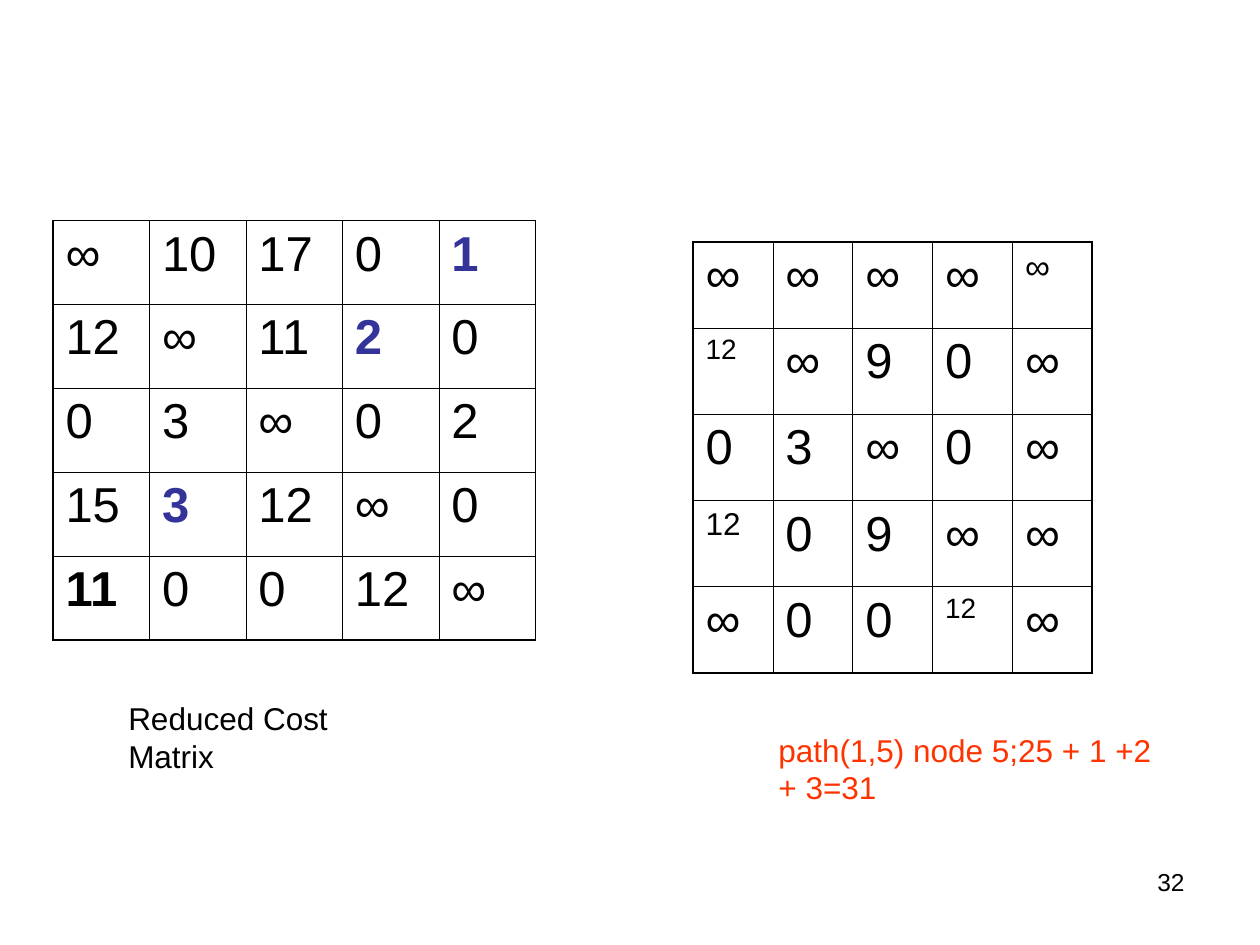
from dataclasses import dataclass

from lxml import etree
from pptx import Presentation
from pptx.dml.color import RGBColor
from pptx.enum import text
from pptx.oxml import ns
from pptx.util import Inches, Pt


@dataclass(frozen=True)
class Theme:
    """Colours, type sizes and line widths of the slide."""
    font: str = "Arial"
    ink: str = "000000"
    reduced: str = "333399"
    result: str = "FF3300"
    entry: int = 28
    caption: int = 18
    number: int = 14
    outer: float = 1.08
    inner: float = 0.45


THEME = Theme()

REDUCED_COST = (
    "∞ 10 17 0 1",
    "12 ∞ 11 2 0",
    "0 3 ∞ 0 2",
    "15 3 12 ∞ 0",
    "11 0 0 12 ∞",
)
REDUCED_STYLES = {
    (0, 4): {"color": THEME.reduced, "bold": True},
    (1, 3): {"color": THEME.reduced, "bold": True},
    (3, 1): {"color": THEME.reduced, "bold": True},
    (4, 0): {"bold": True},
}
NODE_COST = (
    "∞ ∞ ∞ ∞ ∞",
    "12 ∞ 9 0 ∞",
    "0 3 ∞ 0 ∞",
    "12 0 9 ∞ ∞",
    "∞ 0 0 12 ∞",
)
NODE_STYLES = {
    (0, 4): {"size": 20},
    (1, 0): {"size": 16},
    (3, 0): {"size": 18},
    (4, 3): {"size": 16},
}


def write(frame, words, size=THEME.entry, color=THEME.ink, bold=False):
    """Put one formatted paragraph in a text frame and return it."""
    frame.text = words
    para = frame.paragraphs[0]
    for span in para.runs:
        span.font.name = THEME.font
        span.font.size = Pt(size)
        span.font.bold = bold
        span.font.color.rgb = RGBColor.from_string(color)
    return para


def add_border(cell, side, width):
    """Draw one edge of a table cell."""
    line = etree.SubElement(cell._tc.get_or_add_tcPr(), ns.qn(f"a:ln{side}"), w=str(Pt(width)))
    fill = etree.SubElement(line, ns.qn("a:solidFill"))
    etree.SubElement(fill, ns.qn("a:srgbClr"), val=THEME.ink)


def add_matrix(page, box, rows, styles):
    """Fill the box with a square cost matrix with a heavier outer frame."""
    count = len(rows)
    last = count - 1
    left, top, width, height = map(Inches, box)
    table = page.shapes.add_table(count, count, left, top, width, height).table
    table.first_row = table.horz_banding = False
    for r, row in enumerate(rows):
        for c, value in enumerate(row.split()):
            cell = table.cell(r, c)
            write(cell.text_frame, value, **styles.get((r, c), {}))
            edges = {"L": c == 0, "R": c == last, "T": r == 0, "B": r == last}
            for side, is_outer in edges.items():
                add_border(cell, side, THEME.outer if is_outer else THEME.inner)
            cell.fill.background()


def add_label(page, box, words, size=THEME.caption, color=THEME.ink, align=None, wrap=True):
    """Place a line of text in the box."""
    frame = page.shapes.add_textbox(*map(Inches, box)).text_frame
    frame.word_wrap = wrap
    if size == THEME.caption:
        frame.auto_size = text.MSO_AUTO_SIZE.SHAPE_TO_FIT_TEXT
    write(frame, words, size, color).alignment = align


def main():
    """Build the slide and save the deck."""
    deck = Presentation()
    deck.slide_width, deck.slide_height = Inches(10), Inches(7.5)
    page = deck.slides.add_slide(deck.slide_layouts[6])
    add_label(page, (7.17, 6.83, 2.33, 0.52), "32", THEME.number, align=text.PP_ALIGN.RIGHT)
    add_matrix(page, (5.5, 1.92, 3.17, 3.42), NODE_COST, NODE_STYLES)
    add_matrix(page, (0.42, 1.75, 3.83, 3.33), REDUCED_COST, REDUCED_STYLES)
    add_label(page, (0.92, 5.5, 2.53, 0.4), "Reduced Cost Matrix", wrap=False)
    add_label(page, (6.08, 5.75, 3.33, 0.7), "path(1,5) node 5;25 + 1 +2 + 3=31", color=THEME.result)
    deck.save("out.pptx")


if __name__ == "__main__":
    main()
